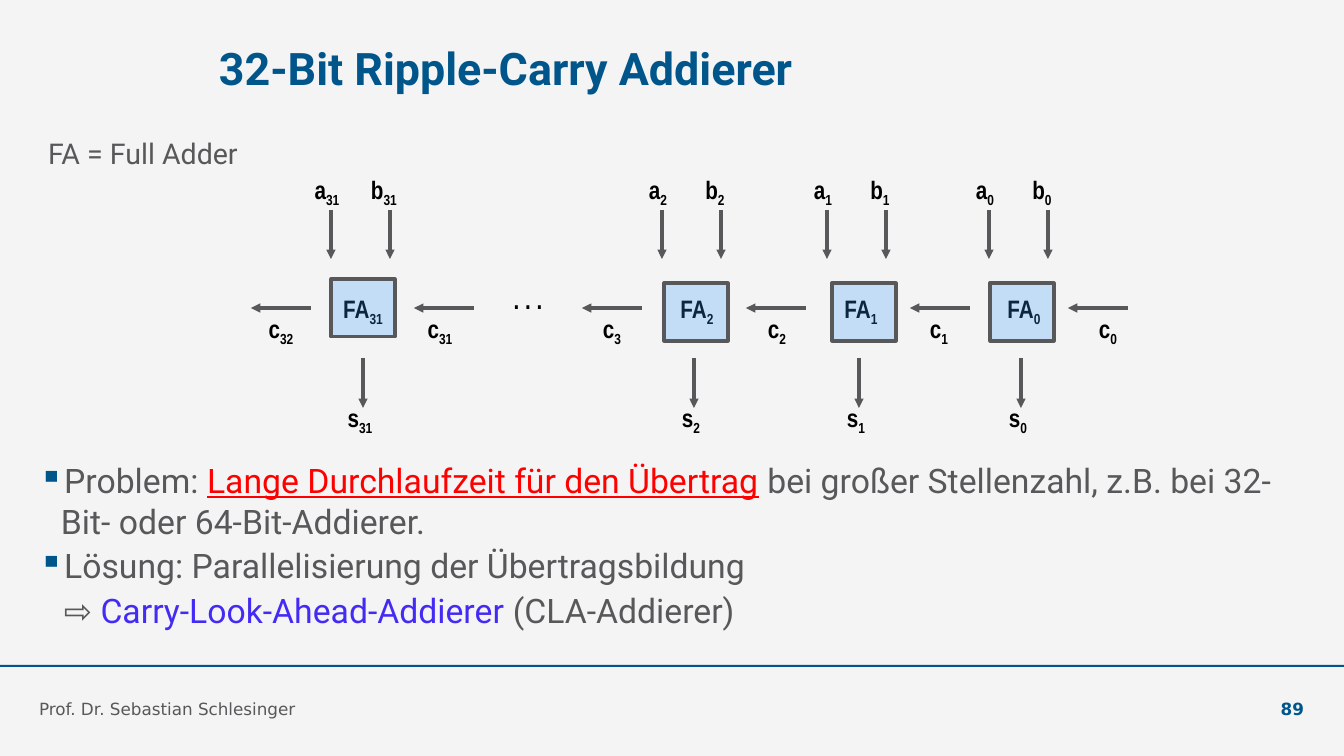
from pptx import Presentation
from pptx.dml.color import RGBColor
from pptx.enum.shapes import MSO_CONNECTOR, MSO_SHAPE
from pptx.enum.text import MSO_ANCHOR, PP_ALIGN
from pptx.oxml.ns import qn
from pptx.util import Emu, Pt
from lxml import etree

EMU_PER_PX = 914400 / 100.8
BLUE = RGBColor(0x00, 0x56, 0x8A)
GRAY = RGBColor(0x58, 0x58, 0x5A)
BLACK = RGBColor(0x00, 0x00, 0x00)
RED = RGBColor(0xFF, 0x00, 0x00)
VIOLET = RGBColor(0x43, 0x2B, 0xF5)
CELL_BLUE = RGBColor(0x33, 0x99, 0xFF)
BACKGROUND = RGBColor(0xF4, 0xF4, 0xF4)
RECTANGLE = MSO_SHAPE.RECTANGLE
STRAIGHT = MSO_CONNECTOR.STRAIGHT
TOP, MIDDLE, BOTTOM = MSO_ANCHOR.TOP, MSO_ANCHOR.MIDDLE, MSO_ANCHOR.BOTTOM
LEFT, CENTER, RIGHT = PP_ALIGN.LEFT, PP_ALIGN.CENTER, PP_ALIGN.RIGHT


def px(length):
    return Emu(round(length * EMU_PER_PX))


class SlideBuilder:
    body_font = "Roboto"
    label_font = "Arial Narrow"
    footer_font = "DejaVu Sans"
    line_width = Pt(2.25)

    def __init__(self, page):
        self.page = page
        page.background.fill.solid()
        page.background.fill.fore_color.rgb = BACKGROUND

    def style(self, font, name, size, color, bold=False):
        font.name, font.size, font.bold = name, Pt(size), bold
        font.color.rgb = color

    def frame(self, left, top, width, height, anchor=TOP, wrap=True):
        box = self.page.shapes.add_textbox(px(left), px(top), px(width), px(height))
        frame = box.text_frame
        frame.word_wrap, frame.vertical_anchor = wrap, anchor
        frame.margin_left = frame.margin_right = 0
        frame.margin_top = frame.margin_bottom = 0
        return frame

    def text(self, area, words, name, size, color, bold=False, anchor=TOP, align=LEFT):
        frame = self.frame(*area, anchor=anchor)
        frame.text = words
        para = frame.paragraphs[0]
        para.alignment = align
        self.style(para.runs[0].font, name, size, color, bold)
        return para

    def label(self, center, top, words, index=""):
        """Bold diagram label with an optional subscript."""
        frame = self.frame(center - 25, top, 50, 41, wrap=False)
        frame.margin_top = frame.margin_bottom = px(5)
        frame.text = words
        para = frame.paragraphs[0]
        para.alignment = CENTER
        if index != "":
            subscript = para.add_run()
            subscript.text = str(index)
            subscript._r.get_or_add_rPr().set("baseline", "-25000")
        for span in para.runs:
            self.style(span.font, self.label_font, 18, BLACK, True)

    def rectangle(self, left, top, width, height, color):
        shape = self.page.shapes.add_shape(
            RECTANGLE, px(left), px(top), px(width), px(height))
        shape.shadow.inherit = False
        shape.fill.solid()
        shape.fill.fore_color.rgb = color
        shape.line.fill.background()
        return shape

    def cell(self, left, top):
        shape = self.rectangle(left, top, 64, 58, CELL_BLUE)
        shape.line.color.rgb = GRAY
        shape.line.width = self.line_width
        color = shape._element.spPr.find(qn("a:solidFill"))[0]
        etree.SubElement(color, qn("a:alpha")).set("val", "25000")

    def arrow(self, x1, y1, x2, y2):
        connector = self.page.shapes.add_connector(
            STRAIGHT, px(x1), px(y1), px(x2), px(y2))
        connector.line.color.rgb = GRAY
        connector.line.width = self.line_width
        properties = connector._element.spPr
        outline = properties.find(qn("a:ln"))
        etree.SubElement(outline, qn("a:tailEnd")).set("type", "triangle")
        etree.SubElement(properties, qn("a:effectLst"))

    def paragraphs(self, area, items, size):
        """Each item holds its bullet flag and its coloured spans."""
        frame = self.frame(*area)
        for number, (bulleted, spans) in enumerate(items):
            para = frame.add_paragraph() if number else frame.paragraphs[0]
            if number:
                para.space_before = Pt(3)
            properties = para._p.get_or_add_pPr()
            properties.set("marL", str(px(22 if bulleted else 25)))
            properties.set("indent", str(px(-22 if bulleted else 0)))
            if bulleted:
                color = etree.SubElement(properties, qn("a:buClr"))
                etree.SubElement(color, qn("a:srgbClr")).set("val", str(BLUE))
                etree.SubElement(properties, qn("a:buChar")).set("char", "▪")
            for words, color in spans:
                span = para.add_run()
                span.text = words
                self.style(span.font, self.body_font, size, color)
                span.font.underline = color == RED


def main():
    deck = Presentation()
    deck.slide_width, deck.slide_height = px(1344), px(756)
    slide = SlideBuilder(deck.slides.add_slide(deck.slide_layouts[6]))

    # Title and legend
    slide.text((219, 36, 840, 64), "32-Bit Ripple-Carry Addierer",
               slide.body_font, 32, BLUE, True, MIDDLE)
    legend = slide.text((48, 143, 400, 34), "FA = Full Adder",
                        slide.body_font, 20.4, GRAY)
    legend.line_spacing = 0.8

    # Full adders: index, axis, label centre, cell left, cell top
    adders = [(31, 363, 363, 331, 279), (2, 694, 697, 664, 283),
              (1, 859, 861, 832, 283), (0, 1021, 1024, 990, 283)]
    for index, axis, name_center, left, top in adders:
        slide.label(name_center, 288, "FA", index)
        slide.cell(left, top)
        for letter, label_shift, arrow_shift in (("a", -36, -32), ("b", 21, 27)):
            slide.label(axis + label_shift, 169, letter, index)
            slide.arrow(axis + arrow_shift, 210, axis + arrow_shift, 259)
        slide.arrow(axis, 358, axis, 408)
        slide.label(axis - 3, 397, "s", index)

    # Carries: index, arrow start, label centre
    carries = [(32, 311, 281), (31, 474, 440), (3, 642, 612),
               (2, 806, 777), (1, 970, 939), (0, 1128, 1108)]
    for index, start, center in carries:
        slide.arrow(start, 308, start - 60, 308)
        slide.label(center, 308, "c", index)
    slide.label(528, 279, ". . .")

    # Problem and solution
    slide.paragraphs((39, 460, 1265, 173), [
        (True, [("Problem: ", GRAY),
                ("Lange Durchlaufzeit für den Übertrag", RED),
                (" bei großer Stellenzahl, z.B. bei 32-Bit- oder 64-Bit-Addierer.", GRAY)]),
        (True, [("Lösung: Parallelisierung der Übertragsbildung", GRAY)]),
        (False, [("⇨ ", GRAY), ("Carry-Look-Ahead-Addierer", VIOLET),
                 (" (CLA-Addierer)", GRAY)]),
    ], 24.1)

    # Footer
    slide.rectangle(0, 665, 1344, 2, BLUE)
    slide.text((39, 680, 927, 39), "Prof. Dr. Sebastian Schlesinger",
               slide.footer_font, 12, GRAY, anchor=BOTTOM)
    slide.text((1213, 680, 91, 39), "89", slide.footer_font, 12, BLUE, True,
               BOTTOM, RIGHT)

    deck.save("out.pptx")


if __name__ == "__main__":
    main()
